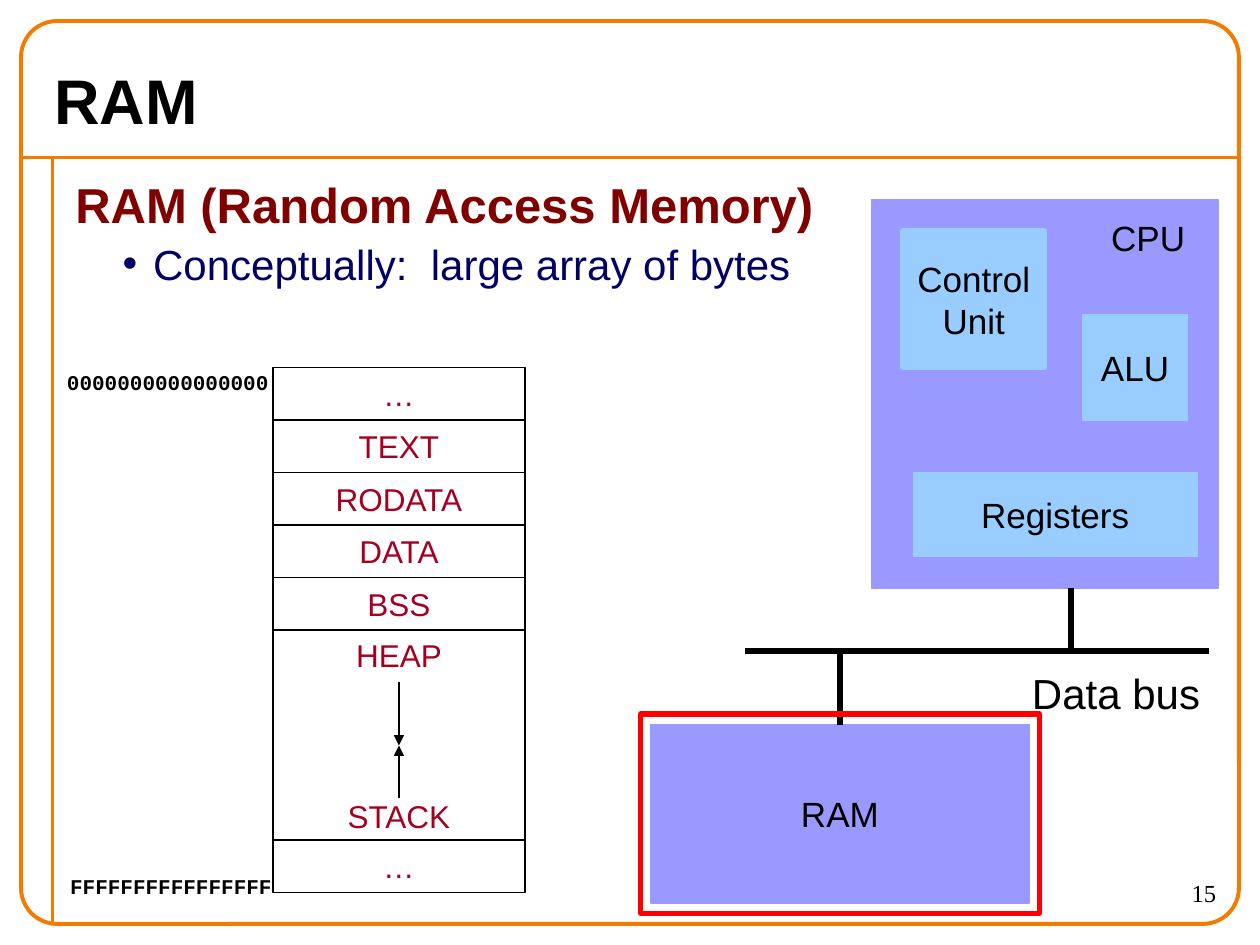
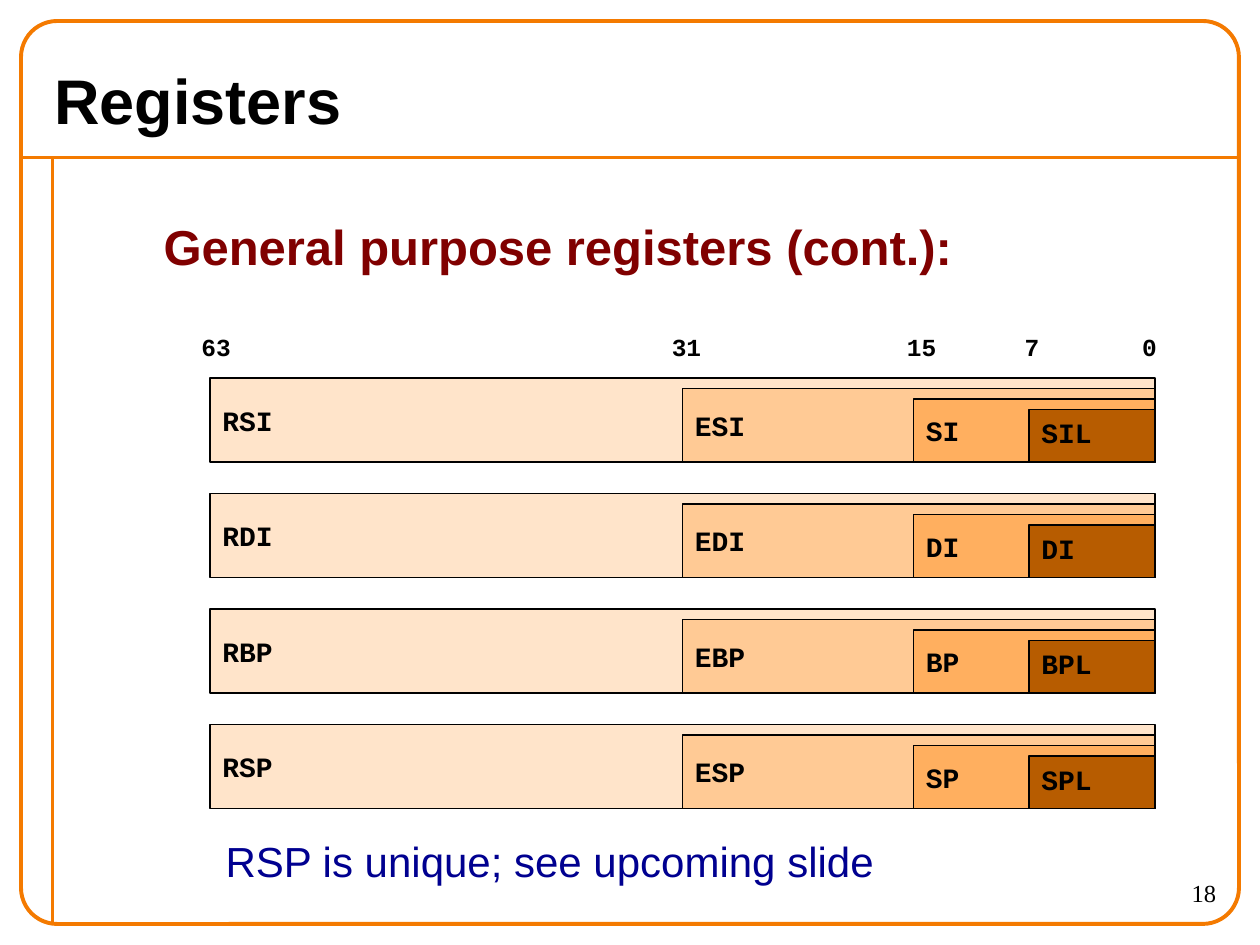
from dataclasses import dataclass
from itertools import accumulate
from typing import Optional

from lxml.etree import SubElement
from pptx import Presentation
from pptx.dml.color import RGBColor
from pptx.enum.shapes import MSO_CONNECTOR, MSO_SHAPE
from pptx.enum.text import MSO_ANCHOR, PP_ALIGN
from pptx.oxml.ns import qn
from pptx.util import Pt

# Scale: 120 px to the inch
PX = 7620
WIDE, HIGH = 1200, 900

# Colours
BLACK = RGBColor(0x00, 0x00, 0x00)
ORANGE = RGBColor(0xF4, 0x7A, 0x00)
MAROON = RGBColor(0x80, 0x00, 0x00)
NAVY = RGBColor(0x00, 0x00, 0x66)
BLUE = RGBColor(0x00, 0x00, 0x90)
CRIMSON = RGBColor(0xA5, 0x00, 0x21)
RED = RGBColor(0xFF, 0x00, 0x00)
VIOLET = RGBColor(0x99, 0x99, 0xFF)
SKY = RGBColor(0x99, 0xCC, 0xFF)
SHADES = [RGBColor(0xFF, 0xE4, 0xCA), RGBColor(0xFF, 0xCA, 0x95),
          RGBColor(0xFF, 0xAF, 0x5F), RGBColor(0xB7, 0x5C, 0x00)]


# Text styles
def style(size: float, name: str = "Arial", bold: bool = False) -> dict:
    return {"name": name, "size": Pt(size), "bold": bold}


TITLE = style(36, bold=True)
HEAD = style(28, bold=True)
BODY = style(24)
PART = style(20)
CELL = style(18)
REG = style(16, "Courier New", True)
BITS = style(14, "Courier New", True)
CODE = style(12, "Courier New", True)
PAGE = style(14, "Times New Roman")

LEFT, MID, RIGHT = PP_ALIGN.LEFT, PP_ALIGN.CENTER, PP_ALIGN.RIGHT
TOP, CENTRE = MSO_ANCHOR.TOP, MSO_ANCHOR.MIDDLE


@dataclass
class Label:
    text: str
    font: dict
    color: RGBColor = BLACK
    align: PP_ALIGN = LEFT
    anchor: MSO_ANCHOR = TOP
    wrap: bool = True


@dataclass
class Box:
    x: int
    y: int
    w: int
    h: int
    fill: Optional[RGBColor] = None
    edge: RGBColor = BLACK
    weight: float = 0.75
    label: Optional[Label] = None
    kind: MSO_SHAPE = MSO_SHAPE.RECTANGLE


@dataclass
class Line:
    x1: int
    y1: int
    x2: int
    y2: int
    color: RGBColor = BLACK
    weight: float = 3
    arrow: bool = False


# Drawing tools
def scale(*sizes: int) -> list[int]:
    return [size * PX for size in sizes]


def paint(font, form: dict, color: RGBColor) -> None:
    for key, value in form.items():
        setattr(font, key, value)
    font.color.rgb = color


def write(frame, label: Label) -> None:
    form = {"word_wrap": label.wrap, "vertical_anchor": label.anchor}
    for key, value in form.items():
        setattr(frame, key, value)
    for i, text in enumerate(label.text.split("\n")):
        para = frame.add_paragraph() if i else frame.paragraphs[0]
        para.alignment = label.align
        run = para.add_run()
        run.text = text
        paint(run.font, label.font, label.color)


def draw_text(slide, x: int, y: int, w: int, h: int, label: Label):
    frame = slide.shapes.add_textbox(*scale(x, y, w, h)).text_frame
    write(frame, label)
    return frame


def draw_box(slide, box: Box):
    shape = slide.shapes.add_shape(box.kind, *scale(box.x, box.y, box.w, box.h))
    shape.shadow.inherit = False
    if box.fill is None:
        shape.fill.background()
    else:
        shape.fill.solid()
        shape.fill.fore_color.rgb = box.fill
    shape.line.color.rgb = box.edge
    shape.line.width = Pt(box.weight)
    if box.label:
        write(shape.text_frame, box.label)
    return shape


def draw_line(slide, line: Line) -> None:
    ends = scale(line.x1, line.y1, line.x2, line.y2)
    link = slide.shapes.add_connector(MSO_CONNECTOR.STRAIGHT, *ends)
    link.line.color.rgb = line.color
    link.line.width = Pt(line.weight)
    if line.arrow:
        SubElement(link.line._get_or_add_ln(), qn("a:tailEnd"), type="triangle")
    SubElement(link._element.spPr, qn("a:effectLst"))


# Frame, title and page number of each slide
def start(deck, title: str, page: int):
    slide = deck.slides.add_slide(deck.slide_layouts[6])
    draw_line(slide, Line(20, 150, 1180, 150, ORANGE, 2.25))
    draw_line(slide, Line(50, 150, 50, 880, ORANGE, 2.25))
    border = draw_box(slide, Box(20, 20, 1160, 860, edge=ORANGE, weight=2.25,
                                 kind=MSO_SHAPE.ROUNDED_RECTANGLE))
    border.adjustments[0] = 0.04
    draw_text(slide, 40, 50, 1120, 90, Label(title, TITLE, anchor=CENTRE))
    draw_text(slide, 1050, 830, 120, 50, Label(str(page), PAGE, align=RIGHT))
    return slide


# Slide with the memory map and the machine
def centred(text: str, font: dict, color: RGBColor = BLACK,
            anchor: MSO_ANCHOR = CENTRE) -> Label:
    return Label(text, font, color, MID, anchor, False)


def draw_intro(slide) -> None:
    frame = draw_text(slide, 60, 160, 1110, 720,
                      Label("RAM (Random Access Memory)", HEAD, MAROON))
    para = frame.add_paragraph()
    para.space_before = Pt(3)
    run = para.add_run()
    run.text = "Conceptually:  large array of bytes"
    paint(run.font, BODY, NAVY)
    props = para._p.get_or_add_pPr()
    props.set("marL", str(74 * PX))
    props.set("indent", str(-29 * PX))
    tint = SubElement(props, qn("a:buClr"))
    SubElement(tint, qn("a:srgbClr"), val=str(NAVY))
    SubElement(props, qn("a:buFont"), typeface="Arial")
    SubElement(props, qn("a:buChar"), char="•")


def draw_machine(slide) -> None:
    parts = [
        Box(620, 690, 360, 170, VIOLET, VIOLET, label=centred("RAM", PART)),
        Box(830, 190, 330, 370, VIOLET, VIOLET),
        Box(860, 220, 135, 130, SKY, SKY, 3, centred("Control\nUnit", PART)),
        Box(1031, 300, 100, 100, SKY, SKY, label=centred("ALU", PART)),
        Box(870, 450, 270, 80, SKY, SKY, label=centred("Registers", PART)),
    ]
    for part in parts:
        draw_box(slide, part)
    draw_text(slide, 1040, 200, 107, 53, centred("CPU", PART, anchor=TOP))
    for ends in [(710, 620, 1151, 620), (800, 690, 800, 620),
                 (1020, 620, 1020, 560)]:
        draw_line(slide, Line(*ends))
    draw_text(slide, 971, 630, 184, 60, Label("Data bus", BODY, wrap=False))
    draw_box(slide, Box(610, 680, 380, 190, edge=RED, weight=3))


def draw_map(slide) -> None:
    cells = ["…", "TEXT", "RODATA", "DATA", "BSS", "HEAP\nSTACK", "…"]
    highs = [200 if "\n" in text else 50 for text in cells]
    tops = accumulate(highs[:-1], initial=350)
    for text, top, high in zip(cells, tops, highs):
        tall = "\n" in text
        label = centred(text, CELL, CRIMSON, TOP if tall else CENTRE)
        cell = draw_box(slide, Box(260, top, 240, high, label=label))
        if tall:
            stack = cell.text_frame.paragraphs[1]
            stack.space_before = Pt(66)
            stack.line_spacing = 1.2
    for begin in (760, 650):
        draw_line(slide, Line(380, begin, 380, 710, weight=1, arrow=True))
    for x, y, digit in [(52, 346, "0"), (55, 826, "F")]:
        draw_text(slide, x, y, 216, 36, Label(digit * 16, CODE, wrap=False))


# Slide with the nested registers
def draw_scale(slide) -> None:
    frame = draw_text(slide, 180, 310, 950, 68,
                      Label("63\t31\t15\t7\t0", BITS))
    props = frame.paragraphs[0]._p.get_or_add_pPr()
    stops = SubElement(props, qn("a:tabLst"))
    for column in (32, 48, 56, 64):
        SubElement(stops, qn("a:tab"), pos=str(column * 14 * PX), algn="l")


def draw_banks(slide) -> None:
    banks = [("RSI", "ESI", "SI", "SIL"), ("RDI", "EDI", "DI", "DI"),
             ("RBP", "EBP", "BP", "BPL"), ("RSP", "ESP", "SP", "SPL")]
    lefts, end = (200, 650, 870, 980), 1100
    for row, bank in enumerate(banks):
        for step, (name, left, shade) in enumerate(zip(bank, lefts, SHADES)):
            anchor = TOP if step == 3 else CENTRE
            draw_box(slide, Box(left, 360 + 110 * row + 10 * step,
                                end - left, 80 - 10 * step, shade,
                                label=Label(name, REG, anchor=anchor)))


def main() -> None:
    deck = Presentation()
    deck.slide_width, deck.slide_height = scale(WIDE, HIGH)

    slide = start(deck, "RAM", 15)
    draw_intro(slide)
    draw_machine(slide)
    draw_map(slide)

    slide = start(deck, "Registers", 18)
    draw_text(slide, 144, 200, 775, 68,
              Label("General purpose registers (cont.):", HEAD, MAROON, wrap=False))
    draw_scale(slide)
    draw_banks(slide)
    draw_text(slide, 203, 790, 642, 60,
              Label("RSP is unique; see upcoming slide", BODY, BLUE, wrap=False))

    deck.save("out.pptx")


if __name__ == "__main__":
    main()
